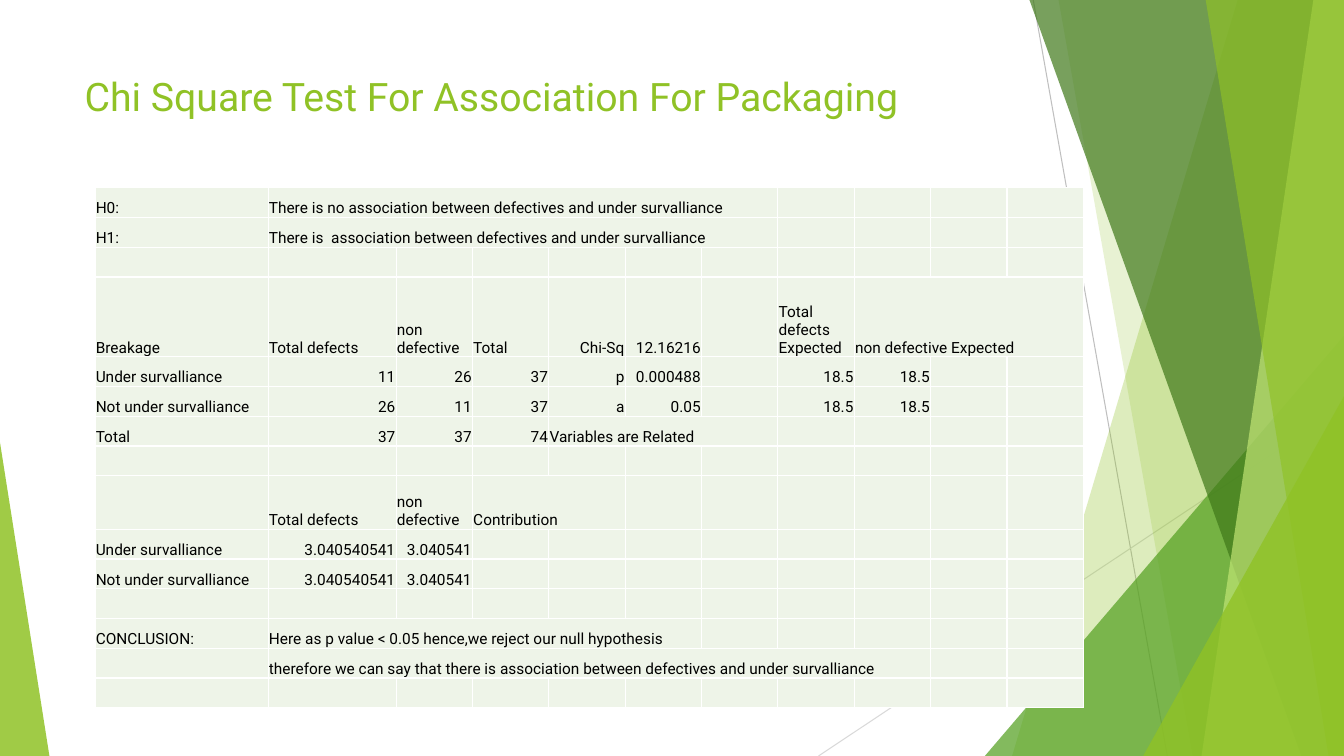
"""Build the chi-square packaging slide with its green facet backdrop."""
from dataclasses import dataclass, field

from lxml import etree
from pptx import Presentation
from pptx import util as u
from pptx.dml.color import RGBColor
from pptx.enum import shapes, text
from pptx.oxml import ns

EMU_PER_PX = 2286
W, H = 5333, 3000
TOP = -3


@dataclass(frozen=True)
class Theme:
    font: str = "Roboto"
    title_pt: int = 28
    table_pt: int = 11
    green: str = "90C226"
    leaf: str = "54A021"
    forest: str = "3F7819"
    lime: str = "C0E474"
    ink: str = "000000"
    cell: str = "EEF4E8"
    border: str = "FFFFFF"
    dark_line: str = "BFBFBF"
    light_line: str = "D9D9D9"


@dataclass(frozen=True)
class Line:
    start: tuple[int, int]
    end: tuple[int, int]
    color: str


@dataclass(frozen=True)
class Facet:
    top_left: int
    bottom_left: int
    color: str
    alpha: int


@dataclass(frozen=True)
class Triangle:
    left: int
    top: int
    width: int
    apex: int
    color: str
    alpha: int


@dataclass(frozen=True)
class Row:
    texts: tuple[str, ...] = ()
    height: int = 118
    spans: dict[int, int] = field(default_factory=dict)


THEME = Theme()
BACKDROP = (
    Line((4100, 0), (4632, H), THEME.dark_line),
    Line((W, 1612), (3248, H), THEME.light_line),
    Facet(4912, 4016, THEME.green, 30),
    Facet(4200, 4732, THEME.green, 20),
    Triangle(3908, 1332, 1425, 1, THEME.leaf, 72),
    Facet(4084, 5164, THEME.forest, 70),
    Facet(5212, 4768, THEME.lime, 70),
    Facet(4784, 5272, THEME.green, 65),
    Triangle(4536, 1572, 797, 1, THEME.green, 80),
    Triangle(0, 1756, 196, 0, THEME.green, 85),
)
COLUMNS = (687, 508) + (303,) * 9
RIGHT_LABELS = ("Chi-Sq", "p", "a")
ROWS = (
    Row(("H0:", "There is no association between defectives and under survalliance"), spans={1: 6}),
    Row(("H1:", "There is  association between defectives and under survalliance"), spans={1: 6}),
    Row(),
    Row(("Breakage", "Total defects", "non defective", "Total", "Chi-Sq", "12.16216", "",
         "Total defects Expected", "non defective Expected"), 317, {8: 3}),
    Row(("Under survalliance", "11", "26", "37", "p", "0.000488", "", "18.5", "18.5")),
    Row(("Not under survalliance", "26", "11", "37", "a", "0.05", "", "18.5", "18.5")),
    Row(("Total", "37", "37", "74", "Variables are Related"), spans={4: 3}),
    Row(),
    Row(("", "Total defects", "non defective", "Contribution"), 213, {3: 2}),
    Row(("Under survalliance", "3.040540541", "3.040541")),
    Row(("Not under survalliance", "3.040540541", "3.040541")),
    Row(),
    Row(("CONCLUSION:", "Here as p value < 0.05 hence,we reject our null hypothesis"), spans={1: 5}),
    Row(("", "therefore we can say that there is association between defectives and under survalliance"),
        spans={1: 8}),
    Row(),
)


def px(n: int) -> u.Emu:
    """Turn pixels into EMU."""
    return u.Emu(n * EMU_PER_PX)


def style_runs(p, size: int, color: str) -> None:
    """Format every run of a paragraph."""
    for r in p.runs:
        r.font.name = THEME.font
        r.font.size = u.Pt(size)
        r.font.color.rgb = RGBColor.from_string(color)


def draw_line(s, item: Line) -> None:
    """Draw one thin backdrop line."""
    sp = s.shapes.add_connector(shapes.MSO_CONNECTOR.STRAIGHT, *map(px, item.start + item.end))
    sp.line.color.rgb = RGBColor.from_string(item.color)
    sp.line.width = u.Pt(0.75)
    etree.SubElement(sp._element.spPr, ns.qn("a:effectLst"))


def paint(sp, color: str, alpha: int) -> None:
    """Give a shape a translucent fill with no line or shadow."""
    sp.shadow.inherit = False
    sp.line.fill.background()
    sp.fill.solid()
    sp.fill.fore_color.rgb = RGBColor.from_string(color)
    clr = sp._element.spPr.find(".//" + ns.qn("a:srgbClr"))
    etree.SubElement(clr, ns.qn("a:alpha"), val=str(alpha * 1000))


def draw_facet(s, item: Facet) -> None:
    """Draw a facet reaching the right edge of the slide."""
    builder = s.shapes.build_freeform(item.top_left, TOP, scale=EMU_PER_PX)
    builder.add_line_segments([(W, TOP), (W, H), (item.bottom_left, H)], close=True)
    paint(builder.convert_to_shape(), item.color, item.alpha)


def draw_triangle(s, item: Triangle) -> None:
    """Draw a right triangle standing on the bottom edge."""
    box = map(px, (item.left, item.top, item.width, H - item.top))
    sp = s.shapes.add_shape(shapes.MSO_SHAPE.ISOSCELES_TRIANGLE, *box)
    sp.adjustments[0] = item.apex
    paint(sp, item.color, item.alpha)


def draw_title(s, title: str) -> None:
    """Fill and format the title placeholder above the backdrop."""
    sp = s.shapes.title
    s.shapes._spTree.append(sp._element)
    sp.left, sp.top, sp.width, sp.height = map(px, (296, 268, 3760, 576))
    tf = sp.text_frame
    tf.text = title
    tf.word_wrap = True
    tf.auto_size = text.MSO_AUTO_SIZE.NONE
    tf.vertical_anchor = text.MSO_ANCHOR.TOP
    tf.paragraphs[0].alignment = text.PP_ALIGN.LEFT
    style_runs(tf.paragraphs[0], THEME.title_pt, THEME.green)


def draw_cell(cell, value: str) -> None:
    """Write one table cell with its fill and borders."""
    cell.text = value
    cell.vertical_anchor = text.MSO_ANCHOR.BOTTOM
    cell.margin_left = cell.margin_top = cell.margin_right = px(3)
    cell.margin_bottom = 0
    p = cell.text_frame.paragraphs[0]
    numeric = value.replace(".", "", 1).isdigit()
    p.alignment = text.PP_ALIGN.RIGHT if numeric or value in RIGHT_LABELS else text.PP_ALIGN.LEFT
    style_runs(p, THEME.table_pt, THEME.ink)
    etree.SubElement(p._p, ns.qn("a:endParaRPr"), sz=str(THEME.table_pt * 100))
    tc_pr = cell._tc.get_or_add_tcPr()
    for side in ("lnL", "lnR", "lnT", "lnB"):
        ln = etree.SubElement(tc_pr, ns.qn(f"a:{side}"), w=str(u.Pt(1)))
        fill = etree.SubElement(ln, ns.qn("a:solidFill"))
        etree.SubElement(fill, ns.qn("a:srgbClr"), val=THEME.border)
    cell.fill.solid()
    cell.fill.fore_color.rgb = RGBColor.from_string(THEME.cell)


def draw_table(s) -> None:
    """Draw the test table."""
    box = map(px, (377, 745, sum(COLUMNS), sum(row.height for row in ROWS)))
    table = s.shapes.add_table(len(ROWS), len(COLUMNS), *box).table
    table.first_row = table.horz_banding = False
    for column, width in zip(table.columns, COLUMNS):
        column.width = px(width)
    for i, row in enumerate(ROWS):
        table.rows[i].height = px(row.height)
        for j in range(len(COLUMNS)):
            draw_cell(table.cell(i, j), row.texts[j] if j < len(row.texts) else "")
        for j, span in row.spans.items():
            table.cell(i, j).merge(table.cell(i, j + span - 1))


def main() -> None:
    """Assemble and save the slide."""
    prs = Presentation()
    prs.slide_width, prs.slide_height = px(W), px(H)
    s = prs.slides.add_slide(prs.slide_layouts[5])
    painters = {Line: draw_line, Facet: draw_facet, Triangle: draw_triangle}
    for item in BACKDROP:
        painters[type(item)](s, item)
    draw_title(s, "Chi Square Test For Association For Packaging")
    draw_table(s)
    prs.save("out.pptx")


if __name__ == "__main__":
    main()
